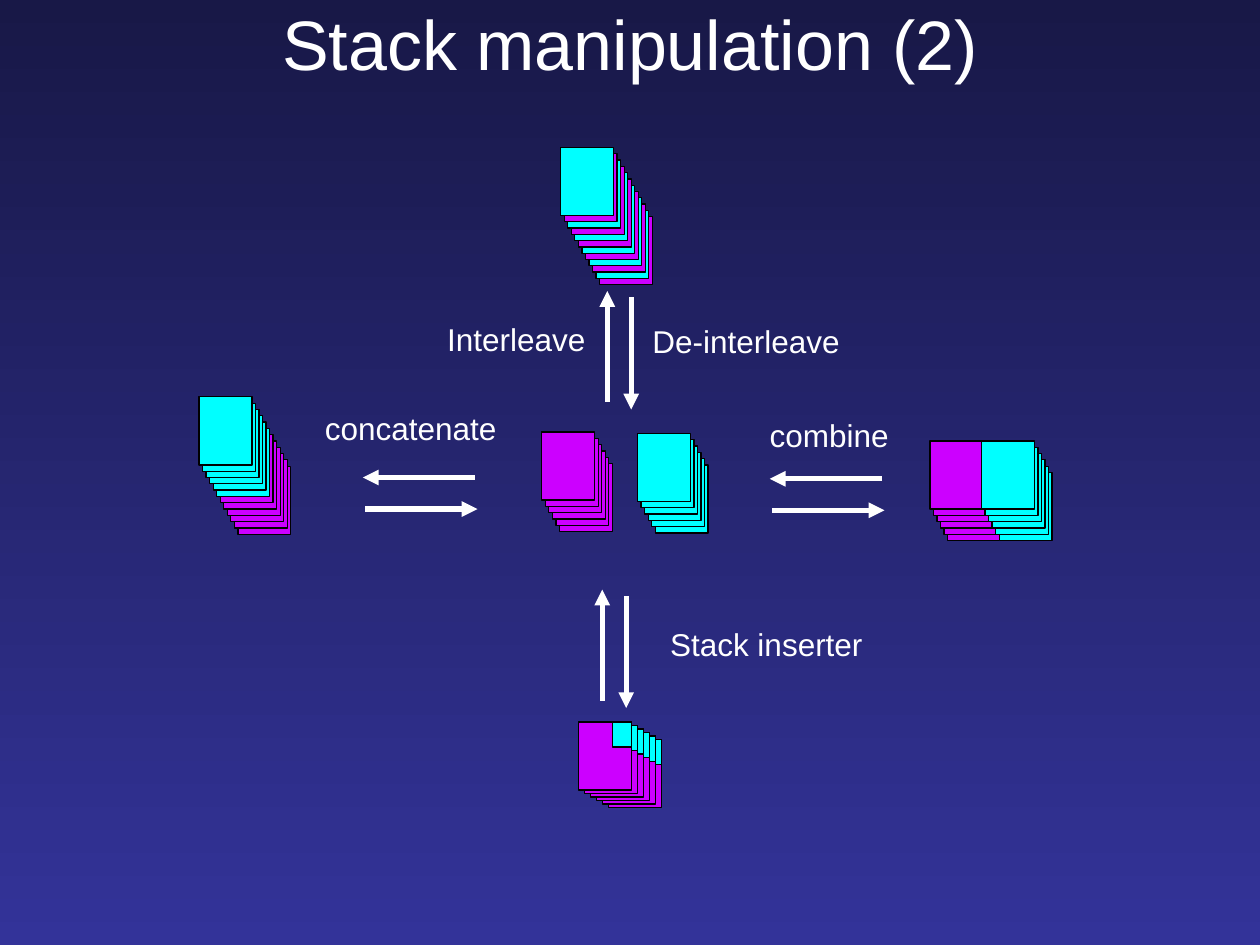
"""Build the slide on stack manipulation: coloured card stacks joined by labelled arrows."""
import pptx
import pptx.dml.color
import pptx.enum.shapes
import pptx.enum.text
import pptx.util
from lxml import etree
from pptx.util import Inches

COLOURS = {
    "top": "181847",
    "bottom": "333399",
    "text": "FFFFFF",
    "edge": "000000",
    "violet": "CC00FF",
    "cyan": "00FFFF",
}
RGB = {name: pptx.dml.color.RGBColor.from_string(value) for name, value in COLOURS.items()}
DRAWING_NS = "http://schemas.openxmlformats.org/drawingml/2006/main"
CARD_SIZE = (0.42, 0.54)
INSET_SIZE = (0.15, 0.2)


def add_card(group, left, top, size, colour):
    card = group.shapes.add_shape(
        pptx.enum.shapes.MSO_SHAPE.RECTANGLE,
        Inches(left), Inches(top), Inches(size[0]), Inches(size[1]))
    card.shadow.inherit = False
    card.fill.solid()
    card.fill.fore_color.rgb = RGB[colour]
    card.line.color.rgb = RGB["edge"]
    card.line.width = pptx.util.Pt(0.75)


def write(frame, text, size, frame_format, alignment):
    for attribute, value in frame_format.items():
        setattr(frame, attribute, value)
    paragraph = frame.paragraphs[0]
    paragraph.alignment = alignment
    run = paragraph.add_run()
    run.text = text
    for attribute, value in {"name": "Arial", "size": pptx.util.Pt(size)}.items():
        setattr(run.font, attribute, value)
    run.font.color.rgb = RGB["text"]


presentation = pptx.Presentation()
presentation.slide_width = Inches(10)
presentation.slide_height = Inches(7.5)
slide = presentation.slides.add_slide(presentation.slide_layouts[5])

backdrop = slide.background.fill
backdrop.gradient()
backdrop.gradient_angle = 270
for stop, colour, position in zip(backdrop.gradient_stops, ("top", "bottom"), (0, 1)):
    stop.color.rgb = RGB[colour]
    stop.position = position

title = slide.shapes.title
for attribute, value in {"left": 0.75, "top": -0.2, "width": 8.5, "height": 1.08}.items():
    setattr(title, attribute, Inches(value))
write(title.text_frame, "Stack manipulation (2)", 40,
      {"word_wrap": True, "vertical_anchor": pptx.enum.text.MSO_ANCHOR.MIDDLE},
      pptx.enum.text.PP_ALIGN.CENTER)

stacks = [
    (7.38, 3.5, ["violet"] * 6),
    (7.79, 3.5, ["cyan"] * 6),
    (4.3, 3.43, ["violet"] * 6),
    (5.06, 3.44, ["cyan"] * 6),
    (1.58, 3.15, ["cyan"] * 6 + ["violet"] * 6),
    (4.45, 1.17, ["cyan", "violet"] * 6),
]
for left, top, colours in stacks:
    stack = slide.shapes.add_group_shape()
    for depth, colour in reversed(list(enumerate(colours))):
        add_card(stack, left + 0.028 * depth, top + 0.05 * depth, CARD_SIZE, colour)

for depth in reversed(range(6)):
    left, top = 4.59 + 0.048 * depth, 5.73 + 0.028 * depth
    inserted = slide.shapes.add_group_shape()
    add_card(inserted, left, top, CARD_SIZE, "violet")
    add_card(inserted, left + 0.27, top, INSET_SIZE, "cyan")

labels = [
    ("concatenate", 2.48, 3.2, 1.56),
    ("combine", 6.01, 3.25, 1.15),
    ("Interleave", 3.45, 2.49, 1.3),
    ("De-interleave", 5.08, 2.51, 1.69),
    ("Stack inserter", 5.22, 4.91, 1.73),
]
for text, left, top, width in labels:
    label = slide.shapes.add_textbox(Inches(left), Inches(top), Inches(width), Inches(0.4))
    write(label.text_frame, text, 18,
          {"word_wrap": False, "auto_size": pptx.enum.text.MSO_AUTO_SIZE.SHAPE_TO_FIT_TEXT},
          pptx.enum.text.PP_ALIGN.LEFT)

arrows = []
for left, top in [(2.88, 3.79), (6.11, 3.8)]:
    arrows.append((left + 0.89, top, left, top))
    arrows.append((left + 0.02, top + 0.25, left + 0.91, top + 0.25))
for left, top in [(4.82, 2.31), (4.78, 4.68)]:
    arrows.append((left, top + 0.88, left, top))
    arrows.append((left + 0.19, top + 0.05, left + 0.19, top + 0.94))
for ends in arrows:
    arrow = slide.shapes.add_connector(
        pptx.enum.shapes.MSO_CONNECTOR.STRAIGHT, *[Inches(end) for end in ends])
    arrow.line.color.rgb = RGB["text"]
    arrow.line.width = pptx.util.Pt(3)
    etree.SubElement(arrow.line._get_or_add_ln(), f"{{{DRAWING_NS}}}tailEnd", type="triangle")
    etree.SubElement(arrow._element.spPr, f"{{{DRAWING_NS}}}effectLst")

presentation.save("out.pptx")
